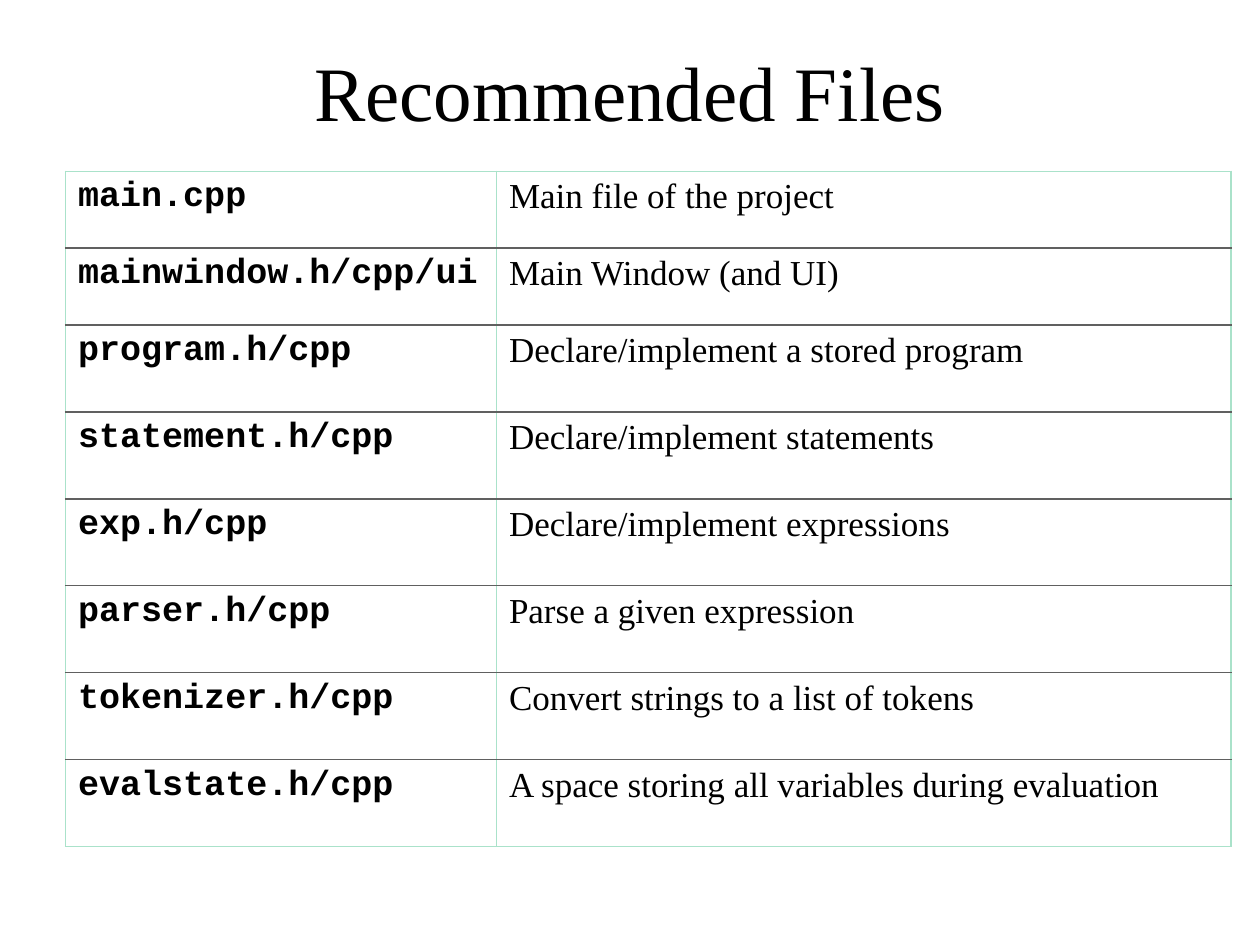
"""Build the slide that lists the recommended files of the project."""
from dataclasses import dataclass

import lxml.etree
import pptx
import pptx.dml.color
import pptx.enum.text
import pptx.oxml.ns
import pptx.util

Inches = pptx.util.Inches
Pt = pptx.util.Pt
RGBColor = pptx.dml.color.RGBColor

BLACK = RGBColor(0x00, 0x00, 0x00)
WHITE = RGBColor(0xFF, 0xFF, 0xFF)
MINT = RGBColor(0xAA, 0xE2, 0xCA)
GREY = RGBColor(0x60, 0x60, 0x60)
SERIF = "Times New Roman"
MONO = "Courier New"
COLUMN_WIDTHS = (3.42, 5.83)


@dataclass(frozen=True)
class FileEntry:
    files: str
    purpose: str
    height: float = 0.69


ENTRIES = (
    FileEntry("main.cpp", "Main file of the project", 0.61),
    FileEntry("mainwindow.h/cpp/ui", "Main Window (and UI)", 0.61),
    FileEntry("program.h/cpp", "Declare/implement a stored program"),
    FileEntry("statement.h/cpp", "Declare/implement statements"),
    FileEntry("exp.h/cpp", "Declare/implement expressions"),
    FileEntry("parser.h/cpp", "Parse a given expression"),
    FileEntry("tokenizer.h/cpp", "Convert strings to a list of tokens"),
    FileEntry("evalstate.h/cpp", "A space storing all variables during evaluation"),
)


def style_font(paragraph, name: str, size: float, bold: bool = False) -> None:
    font = paragraph.font
    font.name, font.size, font.bold = name, Pt(size), bold
    font.color.rgb = BLACK


def set_borders(cell, top: RGBColor, bottom: RGBColor) -> None:
    qn = pptx.oxml.ns.qn
    properties = cell._tc.get_or_add_tcPr()
    sides = (("lnL", MINT), ("lnR", MINT), ("lnT", top), ("lnB", bottom))
    for position, (side, color) in enumerate(sides):
        line = lxml.etree.Element(qn(f"a:{side}"), w=str(Pt(1)))
        fill = lxml.etree.SubElement(line, qn("a:solidFill"))
        lxml.etree.SubElement(fill, qn("a:srgbClr"), val=str(color))
        properties.insert(position, line)


def fill_cell(cell, text: str, font_name: str, bold: bool) -> None:
    cell.text = text
    cell.fill.solid()
    cell.fill.fore_color.rgb = WHITE
    style_font(cell.text_frame.paragraphs[0], font_name, 20, bold)


def add_title(slide, text: str) -> None:
    heading = slide.shapes.add_textbox(Inches(0.75), Inches(0.3), Inches(8.5), Inches(0.84))
    frame = heading.text_frame
    frame.word_wrap = True
    frame.vertical_anchor = pptx.enum.text.MSO_ANCHOR.MIDDLE
    frame.text = text
    frame.paragraphs[0].alignment = pptx.enum.text.PP_ALIGN.CENTER
    style_font(frame.paragraphs[0], SERIF, 44)


def add_file_table(slide, entries: tuple[FileEntry, ...]) -> None:
    files = slide.shapes.add_table(
        len(entries), len(COLUMN_WIDTHS), Inches(0.52), Inches(1.36),
        Inches(sum(COLUMN_WIDTHS)), Inches(sum(entry.height for entry in entries)),
    ).table
    files.first_row = files.horz_banding = False
    for column, width in zip(files.columns, COLUMN_WIDTHS):
        column.width = Inches(width)
    last = len(entries) - 1
    for index, entry in enumerate(entries):
        files.rows[index].height = Inches(entry.height)
        fill_cell(files.cell(index, 0), entry.files, MONO, True)
        fill_cell(files.cell(index, 1), entry.purpose, SERIF, False)
        for cell in files.rows[index].cells:
            set_borders(cell, MINT if index == 0 else GREY, MINT if index == last else GREY)


def main() -> None:
    deck = pptx.Presentation()
    deck.slide_width, deck.slide_height = Inches(10), Inches(7.5)
    slide = deck.slides.add_slide(deck.slide_layouts[6])
    add_title(slide, "Recommended Files")
    add_file_table(slide, ENTRIES)
    deck.save("out.pptx")


if __name__ == "__main__":
    main()
